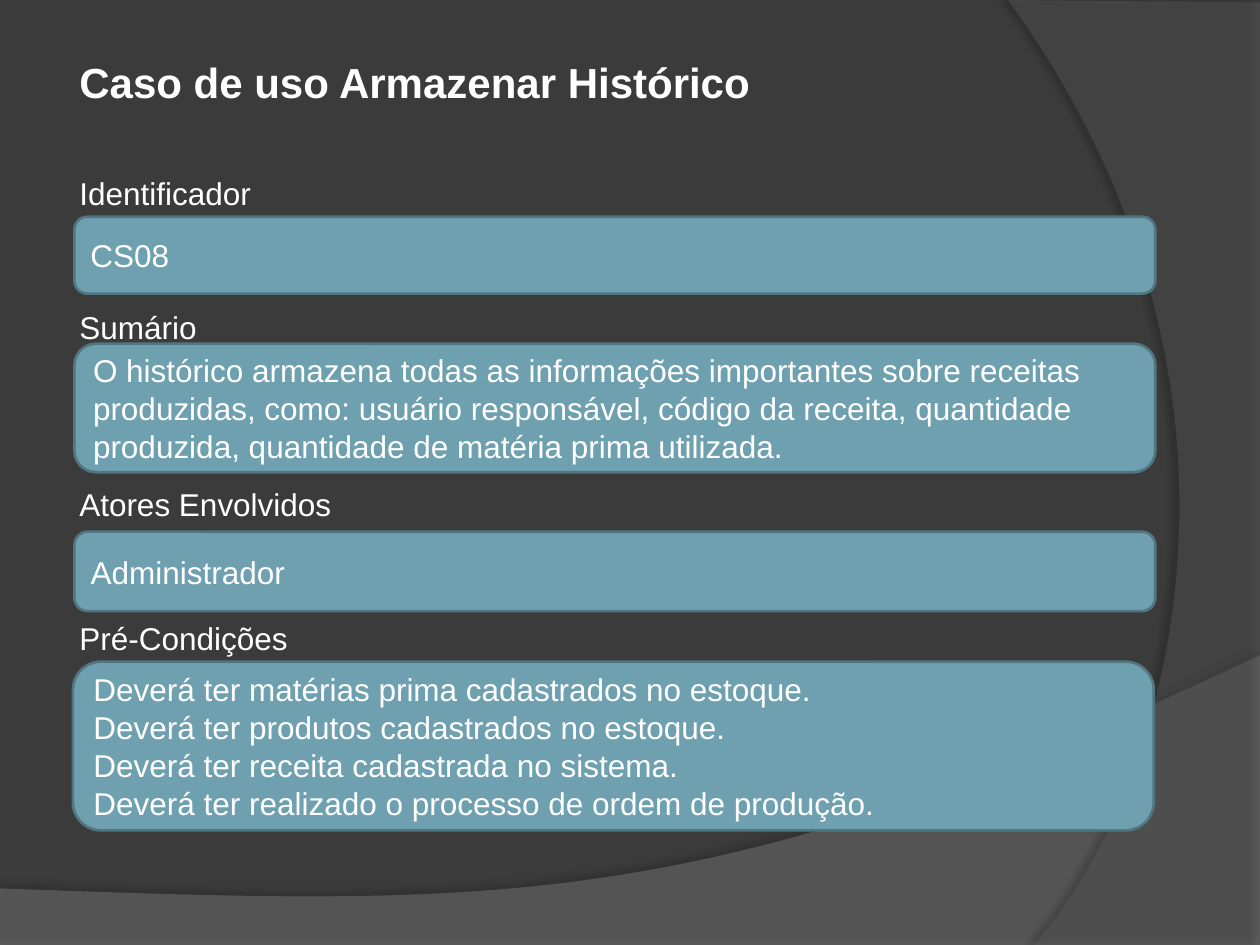
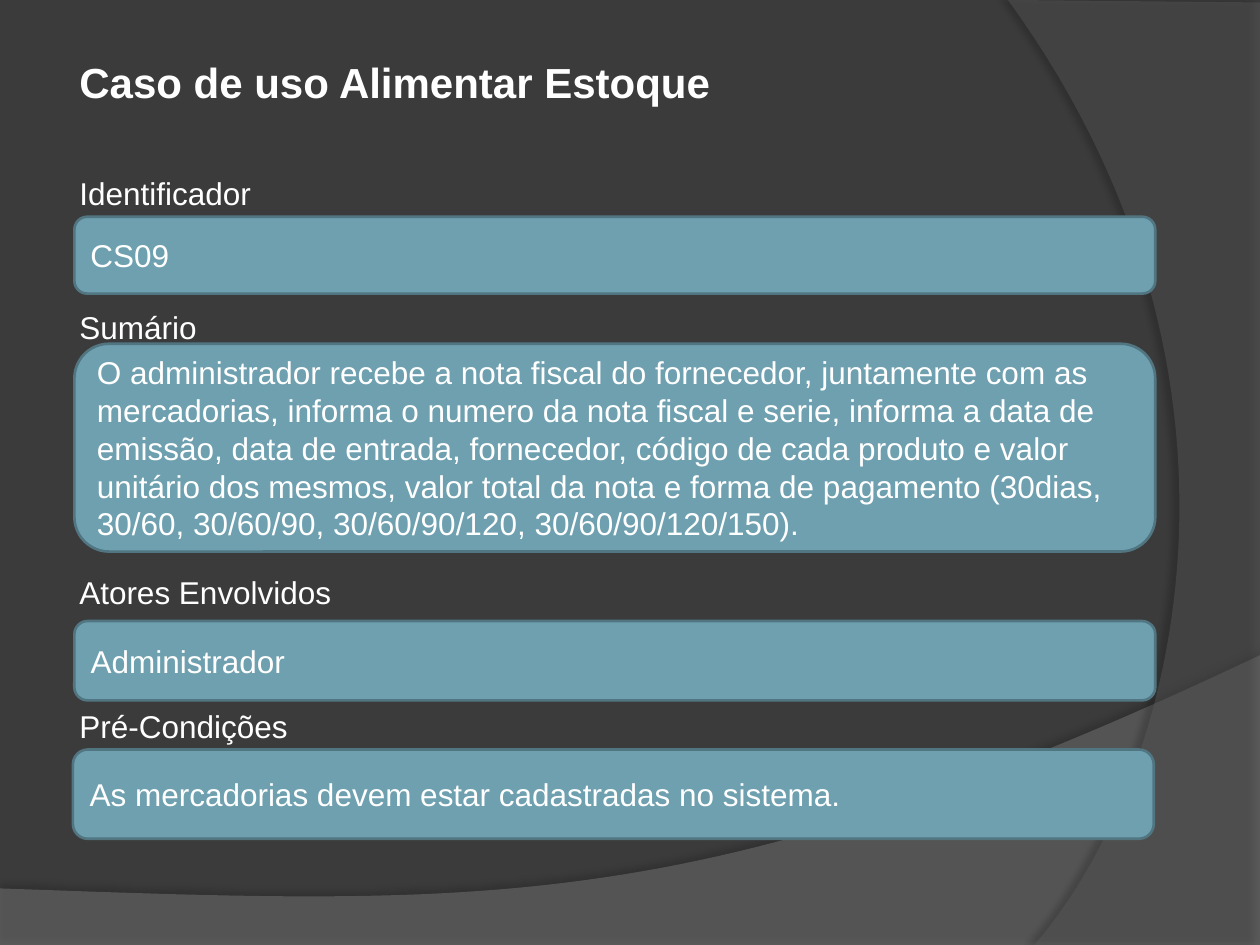
from lxml.etree import SubElement
from pptx import Presentation
from pptx.dml.color import RGBColor
from pptx.enum.shapes import MSO_SHAPE
from pptx.enum.text import MSO_ANCHOR, PP_ALIGN
from pptx.oxml.ns import qn
from pptx.util import Cm, Pt

BACKGROUND = RGBColor(0x3B, 0x3B, 0x3B)
WAVE_GREY = RGBColor(0x7F, 0x7F, 0x7F)
ARC_GREY = RGBColor(0x5E, 0x5E, 0x5E)
PANEL_BLUE = RGBColor(0x6E, 0xA0, 0xB0)
PANEL_EDGE = RGBColor(0x51, 0x76, 0x82)
WHITE = RGBColor(0xFF, 0xFF, 0xFF)

FONT = "Arial"
BODY_SIZE = 18
LINE_HEIGHT = 20.7  # points, one line of body text
ROW_PITCH = 25.14   # points, one row of the label column

# Corners, then a Bézier curve (two controls and an end) from the last corner, in cm;
# the shadow is opacity in %, distance in points and direction in degrees
BACKDROPS = [
    ([(0, 17.91), (0, 19.05), (25.4, 19.05), (25.4, 13.21)],
     [(14.2, 18.52), (9.93, 18.26), (0, 17.91)], WAVE_GREY, 45, (35, 3.5, 270)),
    ([(25.4, 0.05), (25.4, 19.05), (20.85, 19.05)],
     [(23.75, 15.72), (25.86, 7.62), (20.32, 0)], ARC_GREY, 40, (45, 4, 180)),
]

LABELS = ["Identificador", "Sumário", "Atores Envolvidos", "Pré-Condições"]
PANEL_LEFTS = [1.5, 1.5, 1.5, 1.47]
PANEL_WIDTH = 21.79

# Each panel: top and height in cm, then its paragraphs
USE_CASES = [
    {"title": "Caso de uso Armazenar Histórico",
     "summary_rows": 4,
     "panels": [
         (4.37, 1.55, ["CS08"]),
         (6.93, 2.59, ["O histórico armazena todas as informações importantes sobre "
                       "receitas produzidas, como: usuário responsável, código da "
                       "receita, quantidade produzida, quantidade de matéria prima "
                       "utilizada."]),
         (10.72, 1.6, ["Administrador"]),
         (13.34, 3.4, ["Deverá ter matérias prima cadastrados no estoque.",
                       "Deverá ter produtos cadastrados no estoque.",
                       "Deverá ter receita cadastrada no sistema.",
                       "Deverá ter realizado o processo de ordem de produção."]),
     ]},
    {"title": "Caso de uso Alimentar Estoque",
     "summary_rows": 6,
     "panels": [
         (4.37, 1.55, ["CS09"]),
         (6.93, 4.19, ["O administrador recebe a nota fiscal do fornecedor, juntamente "
                       "com as mercadorias, informa o numero da nota fiscal e serie, "
                       "informa a data de emissão, data de entrada, fornecedor, código "
                       "de cada produto e valor unitário dos mesmos, valor total da nota "
                       "e forma de pagamento (30dias, 30/60, 30/60/90, 30/60/90/120, "
                       "30/60/90/120/150)."]),
         (12.52, 1.6, ["Administrador"]),
         (15.11, 1.8, ["As mercadorias devem estar cadastradas no sistema."]),
     ]},
]


def write_paragraphs(frame, texts):
    """Fill the frame with left-aligned white paragraphs and return them."""
    frame.word_wrap = True
    for index, text in enumerate(texts):
        paragraph = frame.add_paragraph() if index else frame.paragraphs[0]
        paragraph.alignment = PP_ALIGN.LEFT
        run = paragraph.add_run()
        run.text = text
        run.font.name = FONT
        run.font.size = Pt(BODY_SIZE)
        run.font.color.rgb = WHITE
    return frame.paragraphs


def add_backdrop(slide, corners, curve, colour, opacity, shadow):
    start, control_1, control_2, end = corners[-1], *curve
    steps = 60
    points = list(corners)
    for step in range(1, steps + 1):
        t = step / steps
        u = 1 - t
        points.append(tuple(
            u**3 * a + 3 * u * u * t * b + 3 * u * t * t * c + t**3 * d
            for a, b, c, d in zip(start, control_1, control_2, end)))
    outline = [(Cm(x), Cm(y)) for x, y in points]
    builder = slide.shapes.build_freeform(*outline[0])
    builder.add_line_segments(outline[1:], close=True)
    backdrop = builder.convert_to_shape()
    backdrop.fill.solid()
    backdrop.fill.fore_color.rgb = colour
    backdrop.line.fill.background()

    properties = backdrop._element.spPr
    fill_colour = properties.find(qn("a:solidFill")).find(qn("a:srgbClr"))
    SubElement(fill_colour, qn("a:alpha"), val=str(opacity * 1000))
    shadow_opacity, distance, direction = shadow
    effects = SubElement(properties, qn("a:effectLst"))
    outer = SubElement(effects, qn("a:outerShdw"), blurRad=str(Pt(4)),
                       dist=str(Pt(distance)), dir=str(direction * 60000),
                       algn="ctr", rotWithShape="0")
    shadow_colour = SubElement(outer, qn("a:srgbClr"), val="000000")
    SubElement(shadow_colour, qn("a:alpha"), val=str(shadow_opacity * 1000))


presentation = Presentation()
presentation.slide_width = Cm(25.4)
presentation.slide_height = Cm(19.05)

for use_case in USE_CASES:
    slide = presentation.slides.add_slide(presentation.slide_layouts[6])
    slide.background.fill.solid()
    slide.background.fill.fore_color.rgb = BACKGROUND
    for backdrop_spec in BACKDROPS:
        add_backdrop(slide, *backdrop_spec)

    # Title and labels share one column; the spacing leaves room for the panels
    column = slide.shapes.add_textbox(Cm(1.35), Cm(1.02), Cm(22.75), Cm(16.9))
    title, identifier, *later_labels = write_paragraphs(
        column.text_frame, [use_case["title"], *LABELS])
    title.runs[0].font.size = Pt(24)
    title.runs[0].font.bold = True
    identifier.space_before = Pt(38.3)
    for label, rows in zip(later_labels, [3, use_case["summary_rows"], 3]):
        label.space_before = Pt(rows * ROW_PITCH - LINE_HEIGHT)

    for left, (top, height, texts) in zip(PANEL_LEFTS, use_case["panels"]):
        panel = slide.shapes.add_shape(MSO_SHAPE.ROUNDED_RECTANGLE, Cm(left), Cm(top),
                                       Cm(PANEL_WIDTH), Cm(height))
        panel.shadow.inherit = False
        panel.fill.solid()
        panel.fill.fore_color.rgb = PANEL_BLUE
        panel.line.color.rgb = PANEL_EDGE
        panel.line.width = Pt(1.5)
        panel.text_frame.vertical_anchor = MSO_ANCHOR.MIDDLE
        write_paragraphs(panel.text_frame, texts)

presentation.save("out.pptx")
